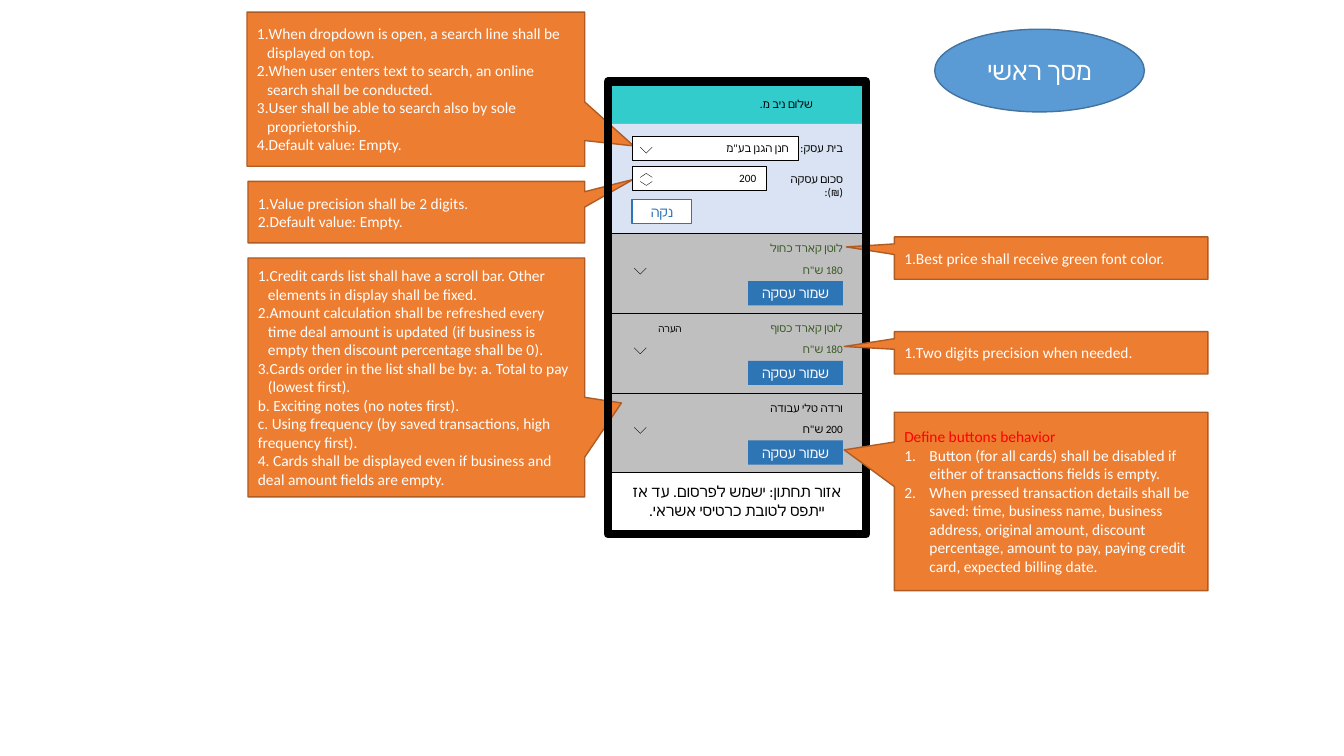
"""Build the annotated main-screen mockup slide."""
from dataclasses import dataclass

from lxml import etree
from pptx import Presentation
from pptx.dml.color import RGBColor
from pptx.enum.shapes import MSO_CONNECTOR, MSO_SHAPE
from pptx.enum.text import MSO_ANCHOR, PP_ALIGN
from pptx.oxml.ns import qn
from pptx.util import Inches, Pt

RECTANGLE, ELLIPSE = MSO_SHAPE.RECTANGLE, MSO_SHAPE.OVAL
CALLOUT = MSO_SHAPE.RECTANGULAR_CALLOUT
STRAIGHT = MSO_CONNECTOR.STRAIGHT
TOP, MIDDLE = MSO_ANCHOR.TOP, MSO_ANCHOR.MIDDLE
LEFT, CENTER, RIGHT = PP_ALIGN.LEFT, PP_ALIGN.CENTER, PP_ALIGN.RIGHT
FONT = "Calibri"
COLORS = {
    "black": "000000", "white": "FFFFFF", "red": "FF0000", "green": "385723",
    "teal": "33CCCC", "pale": "DAE3F3", "gray": "BFBFBF", "button": "2E75B6",
    "title": "5B9BD5", "title line": "43739E",
    "note": "ED7D31", "note line": "AF5C24",
}
SCREEN_LEFT, SCREEN_WIDTH = 6.07, 2.48
CARDS_TOP, CARD_HEIGHT = 2.32, 0.79
ROW_HEIGHT = 0.24
TITLE_BOX = (9.27, 0.29, 2.08, 0.82)

Box = tuple[float, float, float, float]


@dataclass
class Note:
    """A callout with a heading, numbered items and plain closing lines."""
    box: Box
    tip: tuple[float, float]
    items: list[str]
    heading: str = ""
    closing: tuple[str, ...] = ()
    indent: float = 0.1


@dataclass
class Card:
    """A credit card row of the list."""
    name: str
    amount: str
    color: str
    remark: str = ""


SEARCH_NOTE = Note((2.45, 0.12, 3.35, 1.53), (0.645, 0.368), [
    "When dropdown is open, a search line shall be displayed on top.",
    "When user enters text to search, an online search shall be conducted.",
    "User shall be able to search also by sole proprietorship.",
    "Default value: Empty."])
AMOUNT_NOTE = Note((2.46, 1.8, 3.34, 0.61), (0.644, -0.533), [
    "Value precision shall be 2 digits.", "Default value: Empty."])
LIST_NOTE = Note((2.46, 2.56, 3.34, 2.37), (0.609, 0.107), [
    "Credit cards list shall have a scroll bar. Other elements in display shall be fixed.",
    "Amount calculation shall be refreshed every time deal amount is updated "
    "(if business is empty then discount percentage shall be 0).",
    "Cards order in the list shall be by: a. Total to pay (lowest first)."],
    closing=("b. Exciting notes (no notes first).",
             "c. Using frequency (by saved transactions, high frequency first).",
             "4. Cards shall be displayed even if business and deal amount fields are empty."))
PRICE_NOTE = Note((8.87, 2.35, 3.11, 0.42), (-0.653, -0.262), [
    "Best price shall receive green font color."])
PRECISION_NOTE = Note((8.87, 3.29, 3.11, 0.42), (-0.66, -0.149), [
    "Two digits precision when needed."])
BUTTON_NOTE = Note((8.87, 4.09, 3.11, 1.77), (-0.66, -0.289), [
    "Button (for all cards) shall be disabled if either of transactions fields is empty.",
    "When pressed transaction details shall be saved: time, business name, business address, "
    "original amount, discount percentage, amount to pay, paying credit card, "
    "expected billing date."],
    heading="Define buttons behavior", indent=0.25)
CARDS = [
    Card("לוטן קארד כחול", "180 ש\"ח", "green"),
    Card("לוטן קארד כסוף", "180 ש\"ח", "green", "הערה"),
    Card("ורדה טלי עבודה", "200 ש\"ח", "black"),
]


def rgb(name: str) -> RGBColor:
    """Look up a named colour."""
    return RGBColor.from_string(COLORS[name])


def write(shape, text: str, size: float = 8, color: str = "black", align=RIGHT,
          anchor=TOP, rtl: bool = True, number_indent: float = 0, right_inset: float = 0.1,
          first: bool = True) -> None:
    """Write one formatted paragraph into a shape."""
    frame = shape.text_frame
    frame.word_wrap = True
    frame.vertical_anchor = anchor
    frame.margin_left, frame.margin_right = Inches(0.1), Inches(right_inset)
    frame.margin_top = frame.margin_bottom = Inches(0.05)
    paragraph = frame.paragraphs[0] if first else frame.add_paragraph()
    paragraph.alignment = align
    properties = paragraph._p.get_or_add_pPr()
    if rtl:
        properties.set("rtl", "1")
    if number_indent:
        properties.set("marL", str(Inches(number_indent)))
        properties.set("indent", str(-Inches(number_indent)))
        etree.SubElement(properties, qn("a:buFont"), typeface="+mj-lt")
        etree.SubElement(properties, qn("a:buAutoNum"), type="arabicPeriod")
    run = paragraph.add_run()
    run.text = text
    run.font.name, run.font.size = FONT, Pt(size)
    run.font.color.rgb = rgb(color)
    etree.SubElement(run._r.get_or_add_rPr(), qn("a:cs"), typeface=FONT)


def add_shape(slide, kind, box: Box, fill: str = "", line: str = "", weight: float = 1):
    """Draw a preset shape with optional fill and outline."""
    shape = slide.shapes.add_shape(kind, *map(Inches, box))
    shape.shadow.inherit = False
    if fill:
        shape.fill.solid()
        shape.fill.fore_color.rgb = rgb(fill)
    else:
        shape.fill.background()
    if line:
        shape.line.color.rgb = rgb(line)
        shape.line.width = Pt(weight)
    else:
        shape.line.fill.background()
    return shape


def add_label(slide, box: Box, text: str, **text_format) -> None:
    """Draw a text box."""
    write(slide.shapes.add_textbox(*map(Inches, box)), text, **text_format)


def add_line(slide, start: tuple[float, float], end: tuple[float, float], weight: float) -> None:
    """Draw a thin black line."""
    line = slide.shapes.add_connector(STRAIGHT, *map(Inches, start + end))
    line.line.color.rgb = rgb("black")
    line.line.width = Pt(weight)
    etree.SubElement(line._element.spPr, qn("a:effectLst"))


def add_chevron(slide, x: float, y: float, rise: float) -> None:
    """Draw a chevron by its tip and the rise of its arms."""
    for side in (-0.06, 0.06):
        add_line(slide, (x + side, y - rise), (x, y), 0.25)


def add_separator(slide, y: float) -> None:
    """Draw a line across the screen."""
    add_line(slide, (SCREEN_LEFT, y), (SCREEN_LEFT + SCREEN_WIDTH, y), 0.5)


def add_note(slide, note: Note) -> None:
    """Draw a callout and its text."""
    shape = add_shape(slide, CALLOUT, note.box, "note", "note line")
    shape.adjustments[0], shape.adjustments[1] = note.tip
    lines = [(note.heading, "red", 0)] if note.heading else []
    lines += [(item, "white", note.indent) for item in note.items]
    lines += [(text, "white", 0) for text in note.closing]
    for index, (text, color, indent) in enumerate(lines):
        write(shape, text, size=11, color=color, align=LEFT, anchor=MIDDLE, rtl=False,
              number_indent=indent, first=index == 0)


def add_card(slide, card: Card, top: float) -> None:
    """Draw one card row."""
    add_shape(slide, RECTANGLE, (SCREEN_LEFT, top, SCREEN_WIDTH, CARD_HEIGHT), "gray")
    add_separator(slide, top)
    button = add_shape(slide, RECTANGLE, (7.42, top + 0.47, 0.94, ROW_HEIGHT), "button")
    write(button, "שמור עסקה", size=10, color="white", align=CENTER, anchor=MIDDLE)
    for text, offset in ((card.name, 0.03), (card.amount, 0.24)):
        add_label(slide, (7.43, top + offset, 0.93, ROW_HEIGHT), text,
                  color=card.color, right_inset=0)
    if card.remark:
        add_label(slide, (6.4, top + 0.04, 0.36, 0.22), card.remark, size=7, right_inset=0)
    add_chevron(slide, 6.35, top + 0.4, 0.06)


def add_form(slide) -> None:
    """Draw the business and amount fields with the clear button."""
    for label, label_box, value, top, width in (
            ("בית עסק:", (7.8, 1.35, 0.56, ROW_HEIGHT), "חנן הגנן בע\"מ", 1.35, 1.65),
            ("סכום עסקה (₪):", (7.54, 1.66, 0.82, ROW_HEIGHT), "200", 1.65, 1.33)):
        add_label(slide, label_box, label, right_inset=0)
        field = add_shape(slide, RECTANGLE, (6.27, top, width, ROW_HEIGHT),
                          "white", "black", 0.25)
        write(field, value)
    for tip, rise in ((1.52, 0.06), (1.84, 0.04), (1.72, -0.04)):
        add_chevron(slide, 6.41, tip, rise)
    clear = add_shape(slide, RECTANGLE, (6.27, 1.98, 0.59, ROW_HEIGHT), "white", "button")
    write(clear, "נקה", size=10, color="button", align=CENTER, anchor=MIDDLE)


def add_title(slide) -> None:
    """Place the title over its ellipse."""
    add_shape(slide, ELLIPSE, TITLE_BOX, "title", "title line")
    title = slide.shapes.title
    title.left, title.top, title.width, title.height = map(Inches, TITLE_BOX)
    write(title, "מסך ראשי", size=18, color="white", align=CENTER, anchor=MIDDLE)
    slide.shapes._spTree.append(title._element)


def main() -> None:
    """Compose and save the slide."""
    presentation = Presentation()
    presentation.slide_width, presentation.slide_height = Inches(13.33), Inches(7.5)
    slide = presentation.slides.add_slide(presentation.slide_layouts[5])
    add_title(slide)
    add_shape(slide, RECTANGLE, (SCREEN_LEFT, 0.85, SCREEN_WIDTH, 0.39), "teal")
    add_shape(slide, RECTANGLE, (SCREEN_LEFT, 1.23, SCREEN_WIDTH, 1.1), "pale")
    add_label(slide, (7.38, 0.92, 0.78, ROW_HEIGHT), "שלום ניב מ.")
    add_note(slide, SEARCH_NOTE)
    add_note(slide, AMOUNT_NOTE)
    add_form(slide)
    for index, card in enumerate(CARDS):
        add_card(slide, card, CARDS_TOP + index * CARD_HEIGHT)
    add_separator(slide, CARDS_TOP + len(CARDS) * CARD_HEIGHT)
    add_label(slide, (SCREEN_LEFT, 4.68, SCREEN_WIDTH, 0.58),
              "אזור תחתון: ישמש לפרסום. עד אז ייתפס לטובת כרטיסי אשראי.",
              size=11, align=CENTER, anchor=MIDDLE)
    add_note(slide, LIST_NOTE)
    add_note(slide, PRICE_NOTE)
    add_shape(slide, RECTANGLE, (6.03, 0.81, 2.56, 4.49), line="black", weight=6)
    add_note(slide, PRECISION_NOTE)
    add_note(slide, BUTTON_NOTE)
    presentation.save("out.pptx")


if __name__ == "__main__":
    main()
